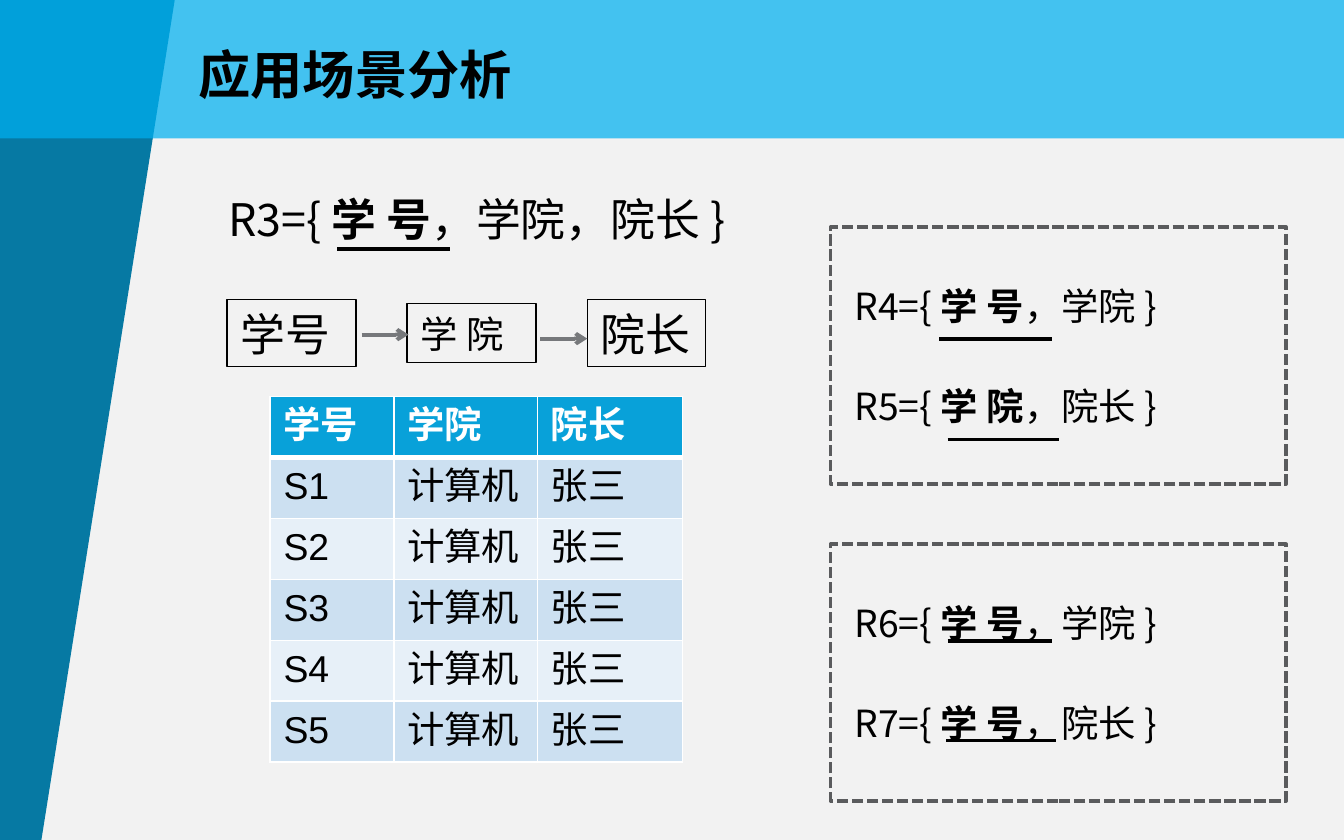
from lxml import etree
from pptx import Presentation
from pptx.dml.color import RGBColor
from pptx.enum.dml import MSO_LINE
from pptx.enum.shapes import MSO_CONNECTOR, MSO_SHAPE
from pptx.enum.text import MSO_ANCHOR, PP_ALIGN
from pptx.oxml.ns import qn
from pptx.util import Inches, Pt

COLORS = {
    "background": "F2F2F2",
    "wedge": "0679A3",
    "banner": "00B0F0",
    "text": "000000",
    "white": "FFFFFF",
    "header": "08A1D9",
    "odd_row": "CCE0F1",
    "even_row": "E7F0F8",
    "frame": "5A5B5D",
    "arrow": "76787B",
}
HEADING_FONT = "Noto Sans CJK SC"
TABLE_FONT = "Arial"


def color(name):
    return RGBColor.from_string(COLORS[name])


def paint(fill, name):
    fill.solid()
    fill.fore_color.rgb = color(name)


def format_run(run, size, font_name=HEADING_FONT, bold=False, color_name="text"):
    font = run.font
    font.size, font.name, font.bold = Pt(size), font_name, bold
    font.color.rgb = color(color_name)
    east_asian = etree.SubElement(run._r.get_or_add_rPr(), qn("a:ea"))
    east_asian.set("typeface", font_name)


def write_line(shape, parts, size):
    frame = shape.text_frame
    frame.word_wrap = True
    frame.vertical_anchor = MSO_ANCHOR.MIDDLE
    paragraph = frame.paragraphs[0]
    paragraph.alignment = PP_ALIGN.JUSTIFY
    for text, bold in parts:
        run = paragraph.add_run()
        run.text = text
        format_run(run, size, bold=bold)


def add_text(slide, left, top, width, height, parts, size):
    box = slide.shapes.add_textbox(*map(Inches, (left, top, width, height)))
    write_line(box, parts, size)


def add_line(slide, start, end, color_name="text", arrow=False):
    line = slide.shapes.add_connector(MSO_CONNECTOR.STRAIGHT, *map(Inches, start + end))
    line.line.width = Pt(2)
    line.line.color.rgb = color(color_name)
    etree.SubElement(line._element.spPr, qn("a:effectLst"))
    if arrow:
        tail = etree.SubElement(line.line._get_or_add_ln(), qn("a:tailEnd"))
        tail.set("type", "arrow")


def add_outline(slide, left, top, width, height, color_name, line_width):
    shape = slide.shapes.add_shape(
        MSO_SHAPE.RECTANGLE, *map(Inches, (left, top, width, height)))
    shape.shadow.inherit = False
    shape.fill.background()
    shape.line.color.rgb = color(color_name)
    shape.line.width = Pt(line_width)
    return shape


def add_background(slide):
    paint(slide.background.fill, "background")
    builder = slide.shapes.build_freeform(Inches(-0.01), Inches(-0.01))
    corners = [(1.3, 0), (0.3, 6.3), (-0.01, 6.29)]
    builder.add_line_segments([(Inches(x), Inches(y)) for x, y in corners])
    wedge = builder.convert_to_shape()
    banner = slide.shapes.add_shape(
        MSO_SHAPE.RECTANGLE, Inches(-0.01), 0, Inches(10.01), Inches(1.03))
    for shape, name in ((wedge, "wedge"), (banner, "banner")):
        shape.shadow.inherit = False
        shape.line.fill.background()
        paint(shape.fill, name)
    banner_color = banner._element.spPr.find(qn("a:solidFill"))[0]
    etree.SubElement(banner_color, qn("a:alpha")).set("val", "72000")


def add_relation(slide, left, top, width, height, name, key, rest, size, underline):
    parts = [(f"{name}={{ ", False), (key, True), (f"，{rest} }}", False)]
    add_text(slide, left, top, width, height, parts, size)
    start, end, y = underline
    add_line(slide, (start, y), (end, y))


def add_decomposition(slide, top, relations):
    add_outline(slide, 6.18, top, 3.39, 1.91, "frame", 2).line.dash_style = MSO_LINE.SQUARE_DOT
    for index, (name, key, rest, underline) in enumerate(relations):
        add_relation(slide, 6.26, top + 0.36 + 0.75 * index, 3.23, 0.44,
                     name, key, rest, 20, underline)


def add_dependency_chain(slide):
    boxes = [
        (1.69, 2.23, 0.96, 0.5, "学号", 24),
        (3.03, 2.26, 0.96, 0.44, "学 院", 20),
        (4.37, 2.23, 0.88, 0.5, "院长", 24),
    ]
    for left, top, width, height, text, size in boxes:
        box = add_outline(slide, left, top, width, height, "text", 0.75)
        write_line(box, [(text, False)], size)
    for x, y in ((2.69, 2.49), (4.02, 2.52)):
        add_line(slide, (x, y), (x + 0.35, y), "arrow", arrow=True)


def set_borders(cell, bottom_width):
    properties = cell._tc.get_or_add_tcPr()
    widths = (("L", 1), ("R", 1), ("T", 1), ("B", bottom_width))
    for index, (side, width) in enumerate(widths):
        border = etree.Element(qn(f"a:ln{side}"), w=str(Pt(width)))
        fill = etree.SubElement(border, qn("a:solidFill"))
        etree.SubElement(fill, qn("a:srgbClr"), val=COLORS["white"])
        properties.insert(index, border)


def format_cell(cell, text, is_header, fill_name):
    cell.margin_left = cell.margin_right = Inches(0.1)
    cell.margin_top = cell.margin_bottom = Inches(0.06)
    paint(cell.fill, fill_name)
    set_borders(cell, 3 if is_header else 1)
    cell.text_frame.text = text
    paragraph = cell.text_frame.paragraphs[0]
    paragraph.alignment = PP_ALIGN.JUSTIFY
    format_run(paragraph.runs[0], 20, TABLE_FONT, is_header,
               "white" if is_header else "text")


def add_student_table(slide):
    rows = [("学号", "学院", "院长")]
    rows += [(f"S{number}", "计算机", "张三") for number in range(1, 6)]
    frame = slide.shapes.add_table(
        len(rows), 3, *map(Inches, (2.01, 2.95, 3.07, 2.67)))
    table = frame.table
    for column, width in zip(table.columns, (0.92, 1.07, 1.08)):
        column.width = Inches(width)
    for index, values in enumerate(rows):
        fill_name = "odd_row" if index % 2 else "even_row"
        for cell, text in zip(table.rows[index].cells, values):
            format_cell(cell, text, index == 0, fill_name if index else "header")


def main():
    presentation = Presentation()
    presentation.slide_width, presentation.slide_height = Inches(10), Inches(6.25)
    slide = presentation.slides.add_slide(presentation.slide_layouts[6])
    add_background(slide)
    add_text(slide, 1.38, 0.26, 3.7, 0.57, [("应用场景分析", True)], 28)
    add_relation(slide, 1.6, 1.38, 4.27, 0.5, "R3", "学 号", "学院，院长", 24,
                 (2.51, 3.35, 1.85))
    add_student_table(slide)
    add_decomposition(slide, 1.69, [
        ("R4", "学 号", "学院", (6.99, 7.83, 2.52)),
        ("R5", "学 院", "院长", (7.05, 7.88, 3.27)),
    ])
    add_decomposition(slide, 4.05, [
        ("R6", "学 号", "学院", (7.05, 7.83, 4.77)),
        ("R7", "学 号", "院长", (7.04, 7.86, 5.51)),
    ])
    add_dependency_chain(slide)
    presentation.save("out.pptx")


if __name__ == "__main__":
    main()
